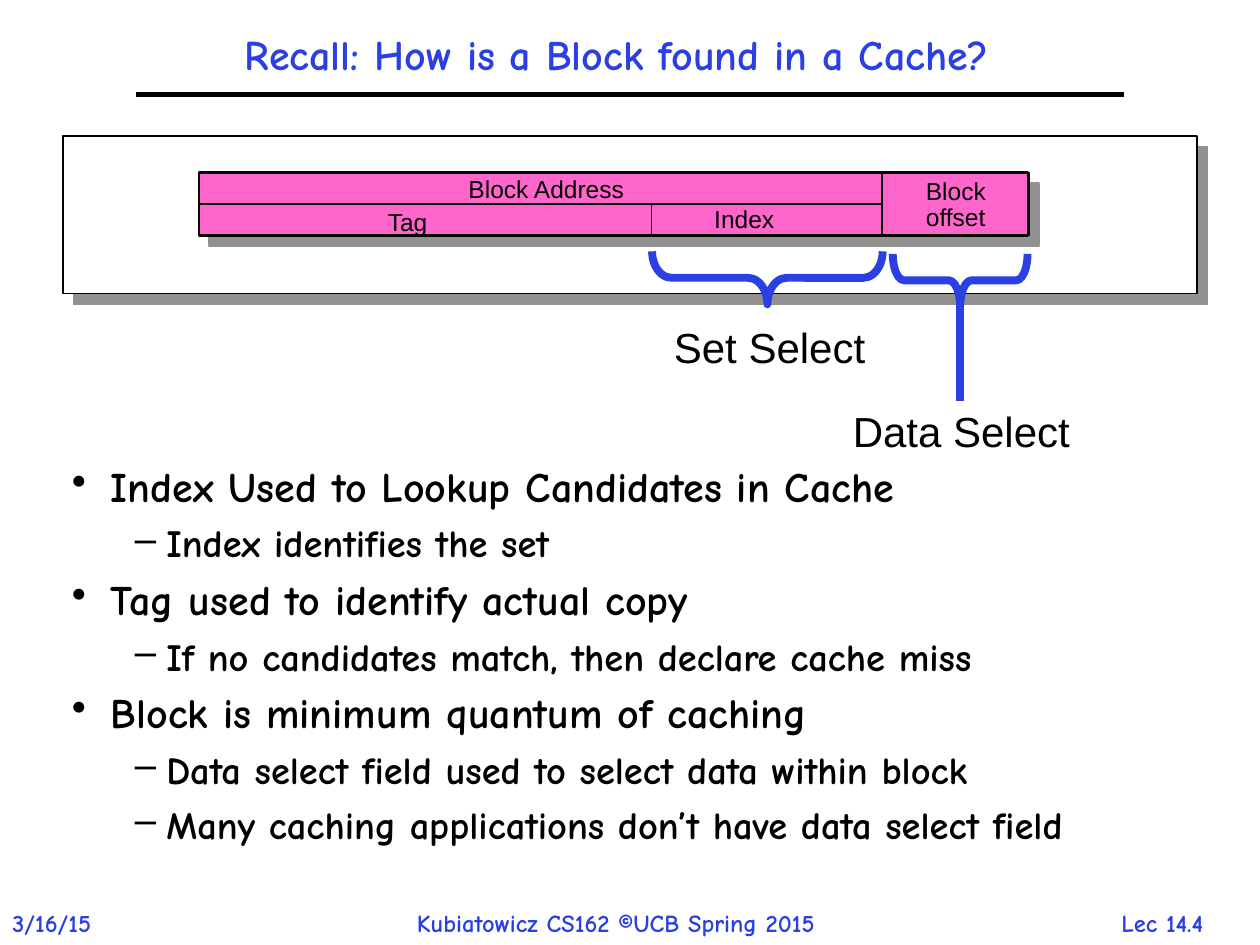
"""Build the cache lookup slide."""
from lxml.etree import SubElement
from pptx import Presentation
from pptx.dml.color import RGBColor
from pptx.enum.shapes import MSO_CONNECTOR, MSO_SHAPE
from pptx.enum.text import MSO_ANCHOR, PP_ALIGN
from pptx.oxml.ns import qn
from pptx.util import Inches, Pt

COLORS = {"black": "000000", "white": "FFFFFF", "blue": "2A40E2",
          "pink": "FF66CC", "shadow": "919191"}
HEADING = {"name": "Comic Neue", "size": Pt(24), "bold": True}
FOOTER = {"name": "Comic Neue", "size": Pt(14), "bold": True}
FIELD = {"name": "Arial", "size": Pt(14)}
CALLOUT = {"name": "Arial", "size": Pt(24)}
LEVELS = [
    {"bullet": "•", "margin": 0.31, "indent": -0.31, "size": Pt(24)},
    {"bullet": "–", "margin": 0.75, "indent": -0.25, "size": Pt(22)},
]
POINTS = [
    (0, "Index Used to Lookup Candidates in Cache"),
    (1, "Index identifies the set"),
    (0, "Tag used to identify actual copy"),
    (1, "If no candidates match, then declare cache miss"),
    (0, "Block is minimum quantum of caching"),
    (1, "Data select field used to select data within block"),
    (1, "Many caching applications don’t have data select field"),
]
FOOTERS = [
    ("3/16/15", (0, 7.16, 1, 0.34), PP_ALIGN.LEFT),
    ("Kubiatowicz CS162 ©UCB Spring 2015", (3.21, 7.16, 3.87, 0.34), PP_ALIGN.LEFT),
    ("Lec 14.4", (8.56, 7.16, 1.33, 0.33), PP_ALIGN.CENTER),
]
LABELS = [
    ("Block\noffset", (7.25, 1.37, 0.68, 0.52), FIELD, 0.9),
    ("Block Address", (3.62, 1.33, 1.44, 0.33), FIELD, 1.0),
    ("Tag", (2.98, 1.59, 0.53, 0.33), FIELD, 1.0),
    ("Index", (5.57, 1.57, 0.68, 0.33), FIELD, 1.0),
    ("Set Select", (5.25, 2.5, 1.72, 0.5), CALLOUT, 1.0),
    ("Data Select", (6.67, 3.17, 1.93, 0.5), CALLOUT, 1.0),
]


def color(name):
    """Return the named colour."""
    return RGBColor.from_string(COLORS[name])


def inches(values):
    """Convert a series of numbers to lengths."""
    return [Inches(value) for value in values]


def set_values(target, values):
    """Set every attribute in a dict of format values."""
    for name, value in values.items():
        setattr(target, name, value)


def add_span(para, text, font, ink):
    """Add one formatted run to a paragraph."""
    span = para.add_run()
    span.text = text
    set_values(span.font, font)
    span.font.color.rgb = color(ink)


def add_text(page, text, place, font, ink="black", align=PP_ALIGN.LEFT,
             spacing=1.0, wrap=False, anchor=MSO_ANCHOR.TOP):
    """Add a text box with one paragraph for each line."""
    frame = page.shapes.add_textbox(*inches(place)).text_frame
    set_values(frame, {"word_wrap": wrap, "vertical_anchor": anchor})
    for number, line in enumerate(text.split("\n")):
        para = frame.add_paragraph() if number else frame.paragraphs[0]
        set_values(para, {"alignment": align, "line_spacing": spacing})
        add_span(para, line, font, ink)


def add_bullets(page, place, points):
    """Add the two-level bullet list."""
    frame = page.shapes.add_textbox(*inches(place)).text_frame
    set_values(frame, {
        "word_wrap": True,
        "margin_left": Inches(0.07), "margin_right": Inches(0.07),
        "margin_top": Inches(0.03), "margin_bottom": Inches(0.03)})
    for number, (level, text) in enumerate(points):
        style = LEVELS[level]
        para = frame.add_paragraph() if number else frame.paragraphs[0]
        set_values(para, {"level": level, "line_spacing": 0.9,
                          "space_before": Pt(7.5 if number else 0)})
        properties = para._p.get_or_add_pPr()
        properties.set("marL", str(Inches(style["margin"])))
        properties.set("indent", str(Inches(style["indent"])))
        SubElement(properties, qn("a:buChar"), char=style["bullet"])
        add_span(para, text, {**HEADING, "size": style["size"]}, "black")


def add_shadow(shape):
    """Give a shape a hard shadow to the lower right."""
    effects = shape._element.spPr.find(qn("a:effectLst"))
    shadow = SubElement(effects, qn("a:outerShdw"), blurRad="0",
                        dist=str(Pt(8.5)), dir="2700000", algn="ctr",
                        rotWithShape="0")
    SubElement(shadow, qn("a:srgbClr"), val=COLORS["shadow"])


def add_box(page, place, width=1, fill=None):
    """Add a box, with a shadow when it is filled."""
    box = page.shapes.add_shape(MSO_SHAPE.RECTANGLE, *inches(place))
    box.shadow.inherit = False
    box.line.color.rgb = color("black")
    box.line.width = Pt(width)
    if fill:
        box.fill.solid()
        box.fill.fore_color.rgb = color(fill)
        add_shadow(box)
    else:
        box.fill.background()


def add_brace(page, place, curve):
    """Add a brace that points down."""
    brace = page.shapes.add_shape(MSO_SHAPE.RIGHT_BRACE, *inches(place))
    brace.rotation = 90
    brace.adjustments[0] = curve
    brace.adjustments[1] = 0.5
    brace.shadow.inherit = False
    brace.fill.background()
    brace.line.color.rgb = color("blue")
    brace.line.width = Pt(4.5)


def add_line(page, ends, ink, width):
    """Add a straight line."""
    line = page.shapes.add_connector(MSO_CONNECTOR.STRAIGHT, *inches(ends))
    line.line.color.rgb = color(ink)
    line.line.width = Pt(width)
    SubElement(line._element.spPr, qn("a:effectLst"))


def add_address(page):
    """Add the divided address with its braces and labels."""
    add_box(page, (0.5, 1.08, 9, 1.25), fill="white")
    add_box(page, (1.58, 1.37, 6.58, 0.5), width=1.5, fill="pink")
    for place in [(1.58, 1.62, 5.42, 0.25), (5.17, 1.62, 1.83, 0.25),
                  (7, 1.37, 1.17, 0.5)]:
        add_box(page, place)
    add_brace(page, (5.88, 1.29, 0.42, 1.83), 0.367)
    add_brace(page, (7.41, 1.69, 0.42, 1.07), 0.214)
    for text, place, font, spacing in LABELS:
        add_text(page, text, place, font, spacing=spacing)
    add_line(page, (7.62, 2.43, 7.62, 3.18), "blue", 4.5)


def main():
    """Build and save the slide."""
    deck = Presentation()
    set_values(deck, {"slide_width": Inches(10), "slide_height": Inches(7.5)})
    page = deck.slides.add_slide(deck.slide_layouts[6])
    for text, place, align in FOOTERS:
        add_text(page, text, place, FOOTER, "blue", align)
    add_line(page, (1.08, 0.75, 8.92, 0.75), "black", 3)
    add_bullets(page, (0.5, 3.67, 9.08, 3.61), POINTS)
    add_text(page, "Recall: How is a Block found in a Cache?",
             (0.84, 0.25, 8.11, 0.4), HEADING, "blue", PP_ALIGN.CENTER,
             0.9, True, MSO_ANCHOR.MIDDLE)
    add_address(page)
    deck.save("out.pptx")


if __name__ == "__main__":
    main()
